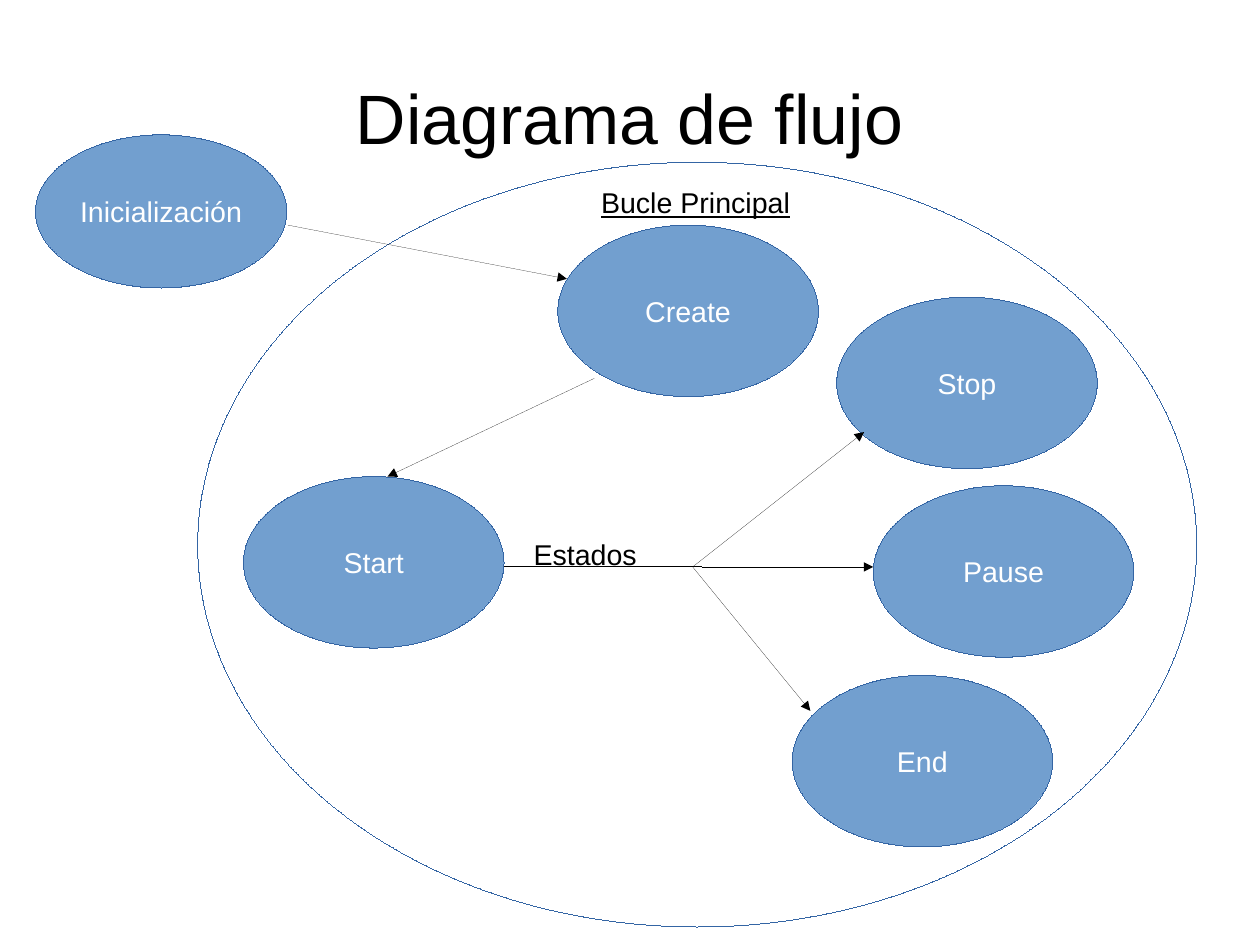
from lxml import etree
from pptx import Presentation
from pptx.dml.color import RGBColor
from pptx.enum import shapes as kinds, text as txt
from pptx.oxml.ns import qn
from pptx.util import Cm, Inches, Pt

BLACK, WHITE, FILL, OUTLINE = "000000", "FFFFFF", "729FCF", "3465A4"
HAIRLINE = Pt(0.01)


def write(frame, words, size, color, align, anchor, **font_values):
    """Put one formatted paragraph into a text frame."""
    frame.text = words
    frame.vertical_anchor = anchor
    paragraph = frame.paragraphs[0]
    paragraph.alignment = align
    font = paragraph.runs[0].font
    values = {"name": "Arial", "size": Pt(size), **font_values}
    for key, value in values.items():
        setattr(font, key, value)
    font.color.rgb = RGBColor.from_string(color)


def add_ellipse(left, top, width, height, fill=None):
    ellipse = slide.shapes.add_shape(
        kinds.MSO_SHAPE.OVAL, *map(Inches, (left, top, width, height)))
    ellipse.shadow.inherit = False
    if fill:
        ellipse.fill.solid()
        ellipse.fill.fore_color.rgb = RGBColor.from_string(fill)
    else:
        ellipse.fill.background()
    ellipse.line.color.rgb = RGBColor.from_string(OUTLINE)
    ellipse.line.width = HAIRLINE
    return ellipse


deck = Presentation()
deck.slide_width, deck.slide_height = Cm(28), Cm(21)
slide = deck.slides.add_slide(deck.slide_layouts[5])

title = slide.shapes.title
title_format = {"left": 0.55, "top": 0.33, "width": 9.92, "height": 1.38}
for side, length in title_format.items():
    setattr(title, side, Inches(length))
for side in ("left", "top", "right", "bottom"):
    setattr(title.text_frame, f"margin_{side}", 0)
write(title.text_frame, "Diagrama de flujo", 44, BLACK,
      txt.PP_ALIGN.CENTER, txt.MSO_ANCHOR.MIDDLE)

# Main loop outline
add_ellipse(1.73, 1.42, 8.74, 6.69)

# States
state_size = (2.28, 1.5)
states = [
    ("Inicialización", 0.31, 1.18, (2.2, 1.34)),
    ("Create", 4.88, 1.97, state_size),
    ("Start", 2.13, 4.17, state_size),
    ("Stop", 7.32, 2.6, state_size),
    ("Pause", 7.64, 4.25, state_size),
    ("End", 6.93, 5.91, state_size),
]
for name, left, top, size in states:
    state = add_ellipse(left, top, *size, fill=FILL)
    state.text_frame.word_wrap = False
    write(state.text_frame, name, 18, WHITE,
          txt.PP_ALIGN.CENTER, txt.MSO_ANCHOR.MIDDLE)

# Captions
captions = [
    ("Bucle Principal", 5.16, 1.57, 1.88, True),
    ("Estados", 4.57, 4.65, 1.1, False),
]
for words, left, top, width, underline in captions:
    caption = slide.shapes.add_textbox(
        *map(Inches, (left, top, width, 0.38))).text_frame
    caption.word_wrap = False
    caption.auto_size = txt.MSO_AUTO_SIZE.SHAPE_TO_FIT_TEXT
    write(caption, words, 18, BLACK, txt.PP_ALIGN.LEFT,
          txt.MSO_ANCHOR.TOP, underline=underline)

# Transitions: start, end, arrowhead
fork = (6.06, 4.96)
stem_end = (6.14, 4.96)
transitions = [
    ((2.52, 1.97), (4.96, 2.44), True),
    ((5.2, 3.31), (3.39, 4.17), True),
    (fork, (7.56, 3.78), True),
    (fork, (7.09, 6.22), True),
    ((4.41, 4.96), stem_end, False),
    (stem_end, (7.64, 4.96), True),
]
for start, end, has_arrow in transitions:
    transition = slide.shapes.add_connector(
        kinds.MSO_CONNECTOR.STRAIGHT, *map(Inches, start + end))
    transition.line.color.rgb = RGBColor.from_string(BLACK)
    transition.line.width = HAIRLINE
    if has_arrow:
        etree.SubElement(transition.line._get_or_add_ln(),
                         qn("a:tailEnd"), type="triangle")
    etree.SubElement(transition._element.spPr, qn("a:effectLst"))

deck.save("out.pptx")
